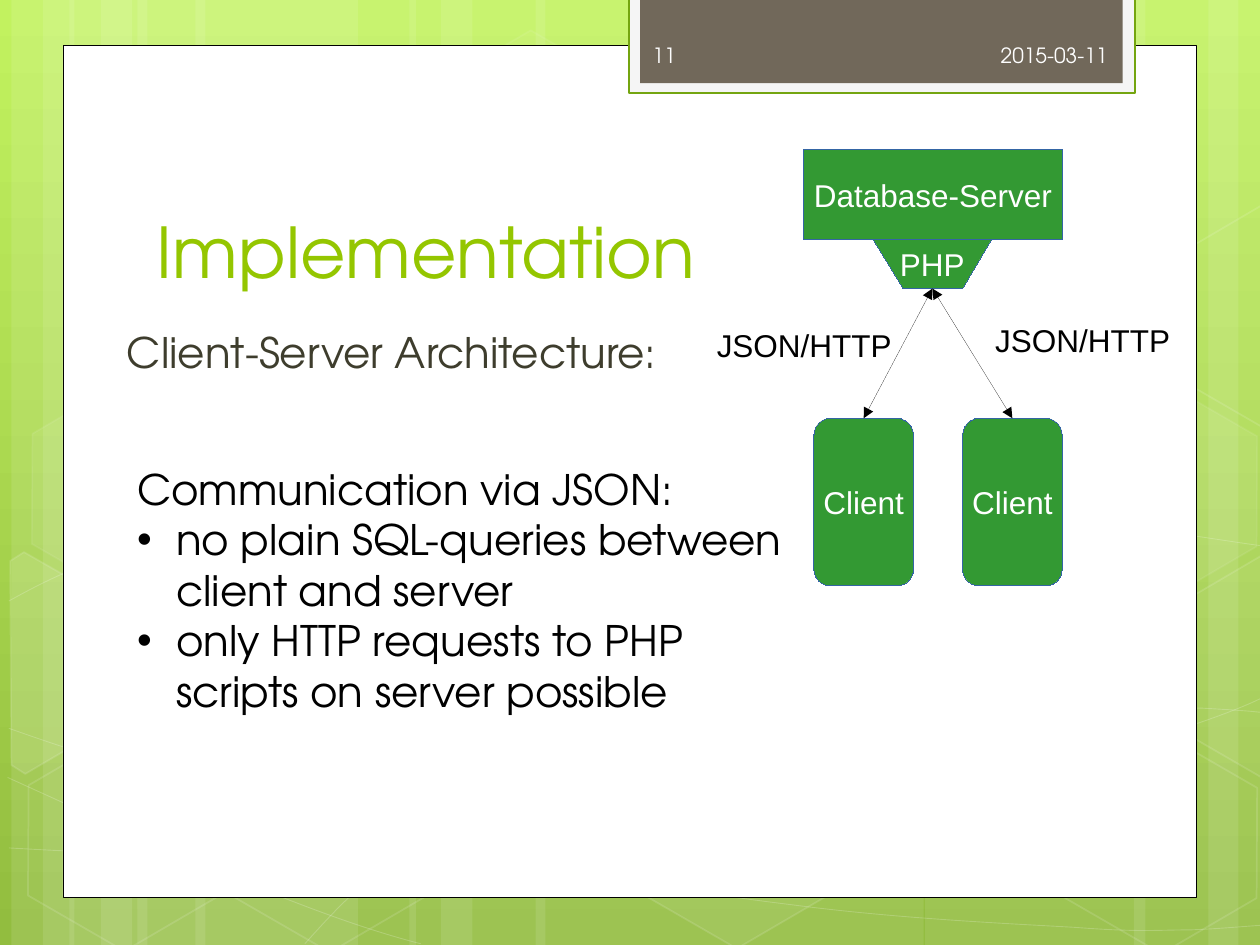
from dataclasses import dataclass
from math import cos, radians, sin

from lxml.etree import SubElement
from pptx import Presentation
from pptx.dml.color import RGBColor
from pptx.enum.shapes import MSO_CONNECTOR, MSO_SHAPE as Shape
from pptx.enum.text import MSO_ANCHOR as Anchor, MSO_AUTO_SIZE as AutoSize, PP_ALIGN as Align
from pptx.oxml.ns import qn
from pptx.util import Inches, Pt


@dataclass(frozen=True)
class Theme:
    font: str = "TeX Gyre Adventor"
    diagram_font: str = "Arial"
    sky: str = "C2F25F"
    grass: str = "92BD3F"
    white: str = "FFFFFF"
    black: str = "000000"
    tab_frame: str = "F5F5F5"
    tab_line: str = "74A510"
    tab: str = "71685A"
    tab_text: str = "FEFEFE"
    title: str = "94C600"
    body: str = "3E3D2D"
    node: str = "339933"
    node_line: str = "3465A4"
    title_size: int = 40
    body_size: int = 24
    diagram_size: int = 18
    small_size: int = 12
    hairline: float = 0.01


theme = Theme()


def paint(shape, fill=None, line=None, width=0, fill_alpha=100, line_alpha=100):
    """Set fill and outline; alpha is opacity in percent."""
    shape.shadow.inherit = False
    for part, color, alpha in ((shape.fill, fill, fill_alpha), (shape.line.fill, line, line_alpha)):
        if color is None:
            part.background()
            continue
        part.solid()
        part.fore_color.rgb = RGBColor.from_string(color)
        if alpha < 100:
            rgb = part._xPr.find(qn("a:solidFill"))[0]
            SubElement(rgb, qn("a:alpha"), val=str(alpha * 1000))
    if line:
        shape.line.width = Pt(width)


def write(shape, lines, size, color, font=theme.font, align=Align.LEFT, anchor=Anchor.TOP, wrap=True):
    frame = shape.text_frame
    frame.auto_size = AutoSize.NONE
    frame.word_wrap = wrap
    frame.vertical_anchor = anchor
    frame.text = "\n".join(lines)
    for para in frame.paragraphs:
        para.alignment = align
        para.font.name = font
        para.font.size = Pt(size)
        para.font.color.rgb = RGBColor.from_string(color)
    return frame


deck = Presentation()
deck.slide_width, deck.slide_height = Inches(10), Inches(7.5)
page = deck.slides.add_slide(deck.slide_layouts[5])
shapes = page.shapes

background = page.background.fill
background.gradient()
background.gradient_angle = 270
for stop, color in zip(background.gradient_stops, (theme.sky, theme.grass)):
    stop.color.rgb = RGBColor.from_string(color)

# Translucent vertical stripes: left, width
stripes = [
    (1.09, 1.75), (0.09, 0.5), (0.34, 0.83), (1.55, 1.75), (0.55, 0.5), (0.8, 0.83),
    (7.34, 1.75), (9.59, 0.5), (9, 0.83), (4.25, 3.08), (3.25, 0.5), (3.5, 0.83),
]
for left, width in stripes:
    stripe = shapes.add_shape(Shape.RECTANGLE, Inches(left), 0, Inches(width), deck.slide_height)
    paint(stripe, theme.white, fill_alpha=10)

# Thin waves: a start point, then cubic segments (two controls and an end)
waves = [
    [(0.07, 6.73), (0.61, 6.76), (1.15, 6.79), (1.9, 6.78), (2.65, 6.77), (3.58, 6.75), (4.58, 6.65),
     (5.58, 6.55), (7, 6.36), (7.92, 6.17), (8.83, 5.98), (9.77, 5.68), (10.07, 5.51)],
    [(0.07, 4.77), (0.36, 4.61), (0.65, 4.46), (1.21, 4.31), (1.78, 4.16), (2.59, 3.94), (3.47, 3.87),
     (4.36, 3.8), (5.44, 3.79), (6.54, 3.87), (7.64, 3.95), (9.47, 4.26), (10.07, 4.34)],
    [(0.06, 6.17), (1.27, 6.72), (2.47, 7.27), (3.34, 7.49)],
    [(0.07, 5.78), (0.38, 5.89), (0.7, 6), (1.28, 6.16), (1.86, 6.31), (2.73, 6.56), (3.57, 6.73),
     (4.4, 6.9), (5.45, 7.08), (6.28, 7.18), (7.11, 7.29), (8, 7.33), (8.53, 7.36),
     (9.05, 7.4), (9.19, 7.38), (9.45, 7.38), (9.71, 7.37), (9.89, 7.35), (10.07, 7.34)],
    [(2.42, 7.49), (2.6, 7.29), (2.78, 7.09), (3.02, 6.91), (3.26, 6.73), (3.6, 6.53), (3.88, 6.39),
     (4.16, 6.25), (4.33, 6.19), (4.7, 6.09), (5.06, 5.99), (5.73, 5.85), (6.08, 5.78),
     (6.44, 5.71), (6.49, 5.71), (6.8, 5.69), (7.11, 5.66), (7.6, 5.63), (7.94, 5.62),
     (8.29, 5.61), (8.86, 5.62), (8.86, 5.62), (9.08, 5.62), (9.31, 5.62), (9.53, 5.62),
     (9.71, 5.63), (9.88, 5.64), (9.97, 5.65), (10.06, 5.66), (10.03, 5.65), (10.06, 5.66)],
]
for wave in waves:
    points = [(Inches(x), Inches(y)) for x, y in wave]
    builder = shapes.build_freeform(*points[0])
    builder.add_line_segments(points[1:], close=False)
    curve = builder.convert_to_shape()
    # Each three line segments become one cubic segment
    segments = list(curve._element.iter(qn("a:lnTo")))
    for first in range(0, len(segments), 3):
        segments[first].tag = qn("a:cubicBezTo")
        for extra in segments[first + 1:first + 3]:
            segments[first].append(extra[0])
            extra.getparent().remove(extra)
    paint(curve, line=theme.white, width=0.5, line_alpha=20)

# Hexagons: left, top, fill opacity, line opacity
TILT = 30
hexagons = [
    (3.34, 0.36, 4, 8), (4.97, 5.89, 6, 12), (0.11, 5.91, 0, 12), (0.14, 3.12, 7, 8),
    (1.74, 5.92, 0, 12), (7.53, 4.53, 10, 12), (8.34, 5.93, 0, 12), (8.34, 3.14, 7, 8),
]
for left, top, fill_alpha, line_alpha in hexagons:
    hexagon = shapes.add_shape(Shape.HEXAGON, Inches(left), Inches(top), Inches(1.75), Inches(1.52))
    hexagon.adjustments[0] = 0.285
    hexagon.rotation = TILT
    paint(hexagon, theme.white if fill_alpha else None, theme.white, 1, fill_alpha, line_alpha)

# Hexagons cut off by the slide edge: fill opacity, centre, corners as they lie after the tilt
cut_hexagons = [
    (10, (0.36, 5.35), [(0.08, 4.45), (0.19, 4.38), (0.96, 4.82), (0.95, 5.7), (0.2, 6.14), (0.09, 6.07)]),
    (4, (9.85, 5.2), [(9.26, 4.85), (10.01, 4.41), (10.09, 4.46), (10.09, 6.13), (10.02, 6.17), (9.26, 5.73)]),
    (0, (9.85, 2.41), [(9.26, 2.07), (10.01, 1.63), (10.1, 1.68), (10.09, 3.35), (10.02, 3.39), (9.26, 2.95)]),
]
cosine, sine = cos(radians(TILT)), sin(radians(TILT))
for fill_alpha, (mid_x, mid_y), corners in cut_hexagons:
    level = [
        (Inches(mid_x + (x - mid_x) * cosine + (y - mid_y) * sine),
         Inches(mid_y - (x - mid_x) * sine + (y - mid_y) * cosine))
        for x, y in corners
    ]
    builder = shapes.build_freeform(*level[0])
    builder.add_line_segments(level[1:])
    hexagon = builder.convert_to_shape()
    hexagon.rotation = TILT
    paint(hexagon, theme.white if fill_alpha else None, theme.white, 1, fill_alpha, 12)

# White sheet and the tab at its top
for left, top, width, height, fill, line, weight in [
    (0.5, 0.36, 9, 6.76, theme.white, theme.black, 0.5),
    (4.99, -0.02, 4.02, 0.76, theme.tab_frame, theme.tab_line, 1.25),
    (5.08, -0.02, 3.83, 0.68, theme.tab, None, 0),
]:
    panel = shapes.add_shape(Shape.RECTANGLE, Inches(left), Inches(top), Inches(width), Inches(height))
    paint(panel, fill, line, weight)

# The title goes in front of the sheet
title = shapes.title
title.left, title.top, title.width, title.height = Inches(1.14), Inches(1.12), Inches(7.68), Inches(1.25)
write(title, ["Implementation"], theme.title_size, theme.title, anchor=Anchor.BOTTOM)
shapes._spTree.append(title._element)

subtitle = shapes.add_textbox(Inches(0.83), Inches(2.54), Inches(7.73), Inches(3.84))
frame = write(subtitle, ["Client-Server Architecture:"], theme.body_size, theme.body)
frame.paragraphs[0].space_before = Pt(4.8)
frame.paragraphs[0]._p.get_or_add_pPr().set("marL", str(Inches(0.08)))

for text, left, width, align in [("2015-03-11", 6.56, 2.33, Align.RIGHT), ("11", 5.08, 1.46, Align.LEFT)]:
    box = shapes.add_textbox(Inches(left), Inches(0.24), Inches(width), Inches(0.4))
    write(box, [text], theme.small_size, theme.tab_text, align=align, anchor=Anchor.MIDDLE)

communication = shapes.add_textbox(Inches(0.99), Inches(3.63), Inches(5.51), Inches(2.4))
frame = write(communication, [
    "Communication via JSON:",
    "no plain SQL-queries between client and server",
    "only HTTP requests to PHP scripts on server possible",
], theme.body_size, theme.black)
for para in frame.paragraphs[1:]:
    properties = para._p.get_or_add_pPr()
    properties.set("marL", str(Inches(0.31)))
    properties.set("indent", str(Inches(-0.31)))
    for tag, name, value in (("a:buFont", "typeface", theme.diagram_font), ("a:buChar", "char", "•")):
        bullet = SubElement(properties, qn(tag), {name: value})
        properties.insert_element_before(bullet, "a:defRPr")

# Architecture diagram
server = shapes.add_shape(Shape.RECTANGLE, Inches(6.38), Inches(1.19), Inches(2.05), Inches(0.71))
builder = shapes.build_freeform(Inches(6.93), Inches(1.9))
builder.add_line_segments([(Inches(x), Inches(y)) for x, y in [(7.87, 1.9), (7.64, 2.29), (7.17, 2.29)]])
gateway = builder.convert_to_shape()
clients = [
    shapes.add_shape(Shape.ROUNDED_RECTANGLE, Inches(left), Inches(3.32), Inches(0.79), Inches(1.33))
    for left in (7.64, 6.46)
]
for node, text in [(server, "Database-Server"), (gateway, "PHP"), *((client, "Client") for client in clients)]:
    paint(node, theme.node, theme.node_line, theme.hairline)
    write(node, [text], theme.diagram_size, theme.white, theme.diagram_font, Align.CENTER, Anchor.MIDDLE, False)

for client in clients:
    link = shapes.add_connector(MSO_CONNECTOR.STRAIGHT, Inches(7.4), Inches(2.29), Inches(7.4), Inches(3.32))
    link.end_connect(client, 0)
    link.line.color.rgb = RGBColor.from_string(theme.black)
    link.line.width = Pt(theme.hairline)
    for end in ("a:headEnd", "a:tailEnd"):
        SubElement(link.line._get_or_add_ln(), qn(end), type="triangle")
    SubElement(link._element.spPr, qn("a:effectLst"))

for left, top in [(7.8, 2.5), (5.59, 2.54)]:
    label = shapes.add_textbox(Inches(left), Inches(top), Inches(1.65), Inches(0.38))
    write(label, ["JSON/HTTP"], theme.diagram_size, theme.black, theme.diagram_font)

deck.save("out.pptx")
